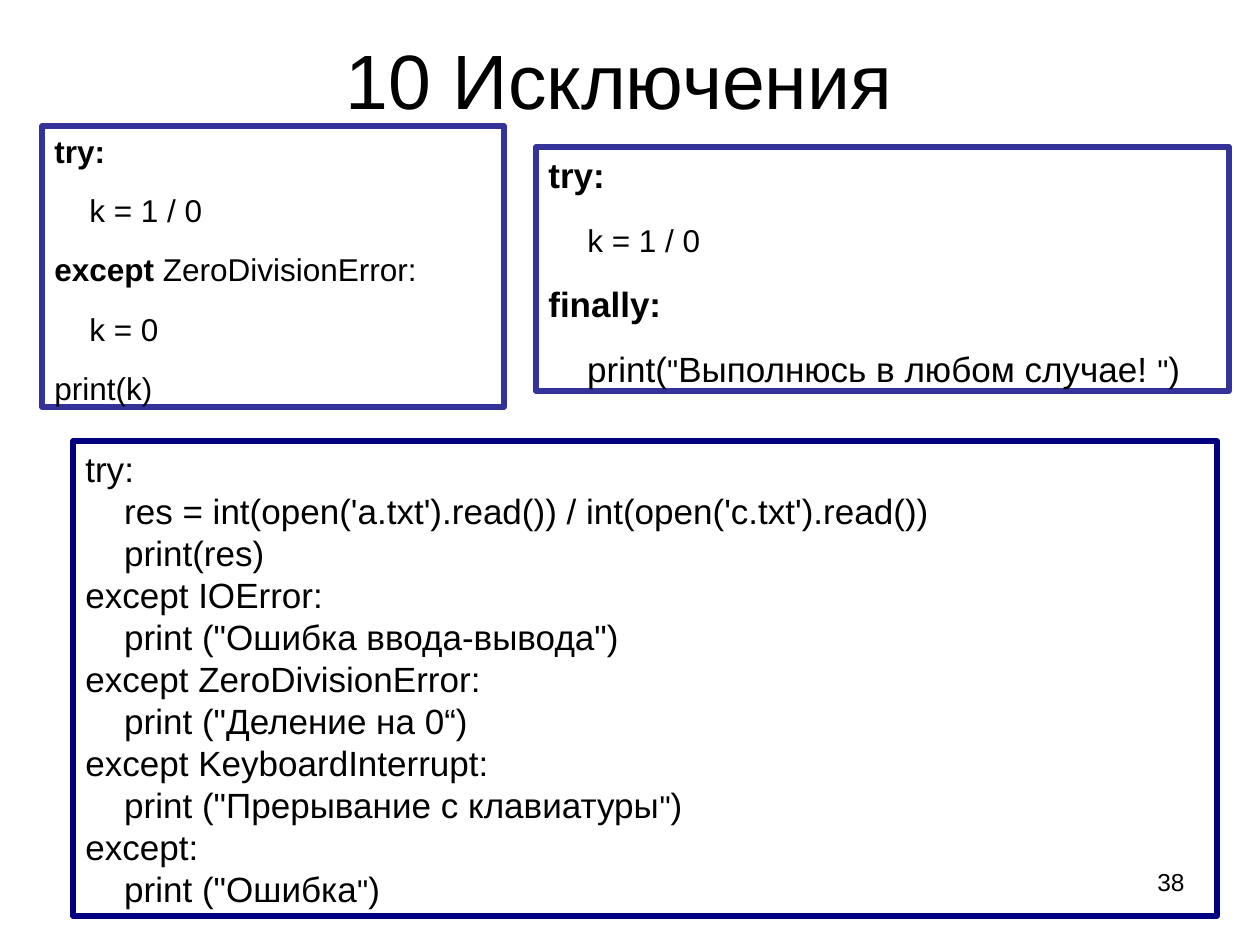
from pptx import Presentation
from pptx.dml.color import RGBColor
from pptx.enum.shapes import MSO_SHAPE
from pptx.enum.text import MSO_ANCHOR, PP_ALIGN
from pptx.util import Pt

RECT = MSO_SHAPE.RECTANGLE
TOP, MIDDLE = MSO_ANCHOR.TOP, MSO_ANCHOR.MIDDLE
LEFT, CENTER, RIGHT = PP_ALIGN.LEFT, PP_ALIGN.CENTER, PP_ALIGN.RIGHT

BLACK = RGBColor(0x00, 0x00, 0x00)
INDIGO = RGBColor(0x33, 0x33, 0x99)
NAVY = RGBColor(0x00, 0x00, 0x80)

PX = 914400 / 126  # EMU per pixel

deck = Presentation()
deck.slide_width = round(1260 * PX)
deck.slide_height = round(945 * PX)
slide = deck.slides.add_slide(deck.slide_layouts[6])


def scale(box):
    return [round(v * PX) for v in box]


def write(shape, lines, align=LEFT, anchor=TOP, gap=0):
    """Fill a shape with lines, each a list of (text, size, bold) runs."""
    frame = shape.text_frame
    frame.word_wrap = True
    frame.vertical_anchor = anchor
    for i, line in enumerate(lines):
        para = frame.add_paragraph() if i else frame.paragraphs[0]
        para.alignment = align
        if i:
            para.space_before = Pt(gap)
        for text, size, bold in line:
            run = para.add_run()
            run.text = text
            run.font.name = "Arial"
            run.font.size = Pt(size)
            run.font.bold = bold
            run.font.color.rgb = BLACK


title = slide.shapes.add_textbox(*scale((294, 0, 672, 158)))
write(title, [[("10 Исключения ", 44, False)]], CENTER, MIDDLE)

catch = [
    [("try:", 18, True)],
    [("    k = 1 / 0", 18, False)],
    [("except", 18, True), (" ZeroDivisionError:", 18, False)],
    [("    k = 0", 18, False)],
    [("print(k)", 18, False)],
]

many = [[(text, 20, False)] for text in (
    "try:",
    "    res = int(open('a.txt').read()) / int(open('c.txt').read())",
    "    print(res)",
    "except IOError:",
    "    print (\"Ошибка ввода-вывода\")",
    "except ZeroDivisionError:",
    "    print (\"Деление на 0“)",
    "except KeyboardInterrupt:",
    "    print (\"Прерывание с клавиатуры",
    "except:",
    "    print (\"Ошибка",
)]
for row in (8, 10):
    many[row] += [('"', 18, False), (")", 20, False)]

final = [
    [("try:", 20, True)],
    [("    ", 20, False), ("k = 1 / 0", 18, False)],
    [("finally:", 20, True)],
    [("    print(", 20, False), ('"', 18, False),
     ("Выполнюсь в любом случае! ", 20, False), ('"', 18, False),
     (")", 20, False)],
]

for box, color, lines, gap in (
    ((42, 126, 462, 281), INDIGO, catch, 12.2),
    ((73, 441, 1144, 475), NAVY, many, 0),
    ((536, 147, 693, 244), INDIGO, final, 13),
):
    panel = slide.shapes.add_shape(RECT, *scale(box))
    panel.shadow.inherit = False
    panel.fill.background()
    panel.line.color.rgb = color
    panel.line.width = Pt(3)
    write(panel, lines, gap=gap)

number = slide.shapes.add_textbox(*scale((903, 861, 294, 66)))
write(number, [[("38", 14, False)]], RIGHT)

deck.save("out.pptx")
